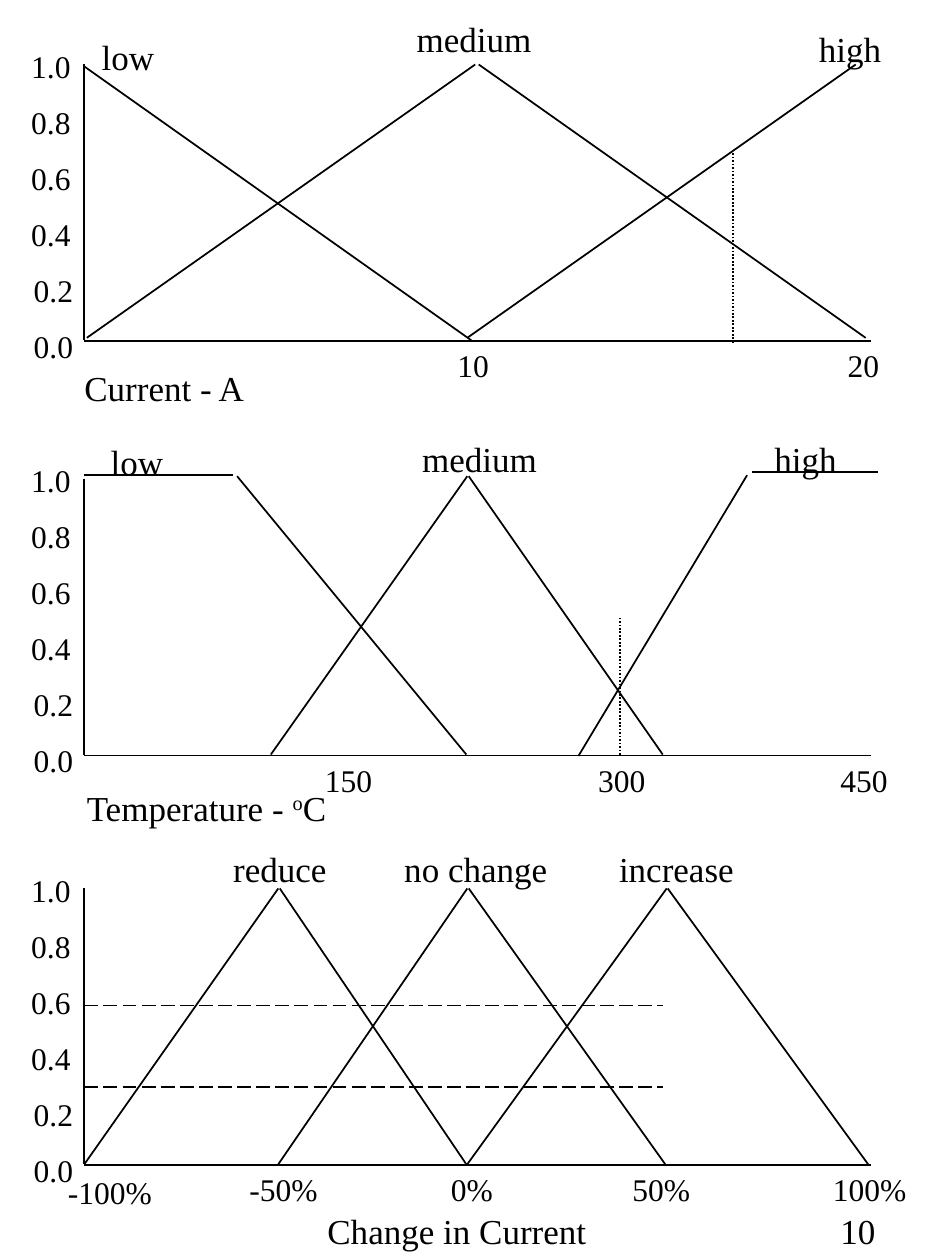
from dataclasses import dataclass

from lxml import etree
from pptx import Presentation
from pptx.dml.color import RGBColor
from pptx.enum.dml import MSO_LINE
from pptx.enum.shapes import MSO_CONNECTOR
from pptx.enum.text import MSO_AUTO_SIZE
from pptx.oxml.ns import qn
from pptx.slide import Slide
from pptx.util import Cm, Pt

STRAIGHT = MSO_CONNECTOR.STRAIGHT
FIT_SHAPE = MSO_AUTO_SIZE.SHAPE_TO_FIT_TEXT
DOTTED = MSO_LINE.ROUND_DOT  # written to the file as sysDot
DASHED = MSO_LINE.LONG_DASH


@dataclass(frozen=True)
class Theme:
    ink: RGBColor = RGBColor(0, 0, 0)
    font: str = "Times New Roman"
    label_size: int = 20
    tick_size: int = 18
    line_width: float = 1


THEME = Theme()

# All lengths are in centimetres; heights inside a panel count from its top.
AXIS_LEFT, AXIS_RIGHT = 1.70, 17.55
AXIS_HEIGHT, BASELINE = 5.56, 5.58
SCALE_TOP, SCALE_STEP = -0.48, 1.13
SCALE = ("1.0", "0.8", "0.6", "0.4", "0.2", "0.0")
WIDTH_SLACK = 0.06  # keeps each label on one line


@dataclass(frozen=True)
class Label:
    text: str
    x: float
    y: float
    width: float
    size: int = THEME.label_size
    superscript: str = ""
    tail: str = ""


@dataclass(frozen=True)
class Tick(Label):
    size: int = THEME.tick_size


@dataclass(frozen=True)
class Line:
    x1: float
    y1: float
    x2: float
    y2: float
    dash: MSO_LINE | None = None


@dataclass(frozen=True)
class Panel:
    top: float
    lines: tuple[Line, ...]
    labels: tuple[Label, ...]


CURRENT = Panel(
    1.30,
    (
        Line(1.70, 0.04, 9.50, 5.56),
        Line(17.25, 0, 9.42, 5.51),
        Line(9.65, 0, 17.45, 5.51),
        Line(9.58, 0, 1.75, 5.51),
        Line(14.77, 1.79, 14.77, 5.61, DOTTED),
    ),
    (
        Label("low", 1.80, -0.71, 1.57),
        Label("medium", 8.15, -1.07, 2.82),
        Label("high", 16.26, -0.87, 1.75),
        Tick("10", 8.97, 5.56, 1.14),
        Tick("20", 16.84, 5.56, 1.14),
        Label("Current - A", 1.45, 5.96, 3.76),
    ),
)

TEMPERATURE = Panel(
    9.65,
    (
        Line(1.70, -0.07, 4.70, -0.07),
        Line(4.78, -0.05, 9.40, 5.56),
        Line(9.42, -0.05, 5.46, 5.56),
        Line(9.45, -0.05, 13.36, 5.56),
        Line(11.66, 5.59, 15.06, -0.07),
        Line(15.16, -0.13, 17.70, -0.13),
        Line(12.50, 2.80, 12.50, 5.56, DOTTED),
    ),
    (
        Label("low", 1.98, -0.89, 1.57),
        Label("medium", 8.26, -0.96, 2.82),
        Label("high", 15.36, -0.96, 1.75),
        Tick("150", 6.30, 5.56, 1.45),
        Tick("300", 11.81, 5.56, 1.45),
        Tick("450", 16.69, 5.56, 1.45),
        Label("Temperature - ", 1.50, 6.08, 5.38, superscript="o", tail="C"),
    ),
)

CHANGE_SLOPES = (
    (5.61, 1.70), (5.64, 9.40), (13.44, 9.42),
    (13.46, 17.50), (9.42, 5.61), (9.45, 13.41),
)
CHANGE = Panel(
    17.91,
    tuple(Line(peak, 0, foot, AXIS_HEIGHT) for peak, foot in CHANGE_SLOPES)
    + tuple(Line(AXIS_LEFT, y, 13.36, y, DASHED) for y in (4.00, 2.36)),
    (
        Label("reduce", 4.45, -0.96, 2.39),
        Label("no change", 7.90, -0.96, 3.38),
        Label("increase", 12.23, -0.96, 2.82),
        Tick("-100%", 1.12, 5.61, 2.18),
        Tick("-50%", 4.78, 5.56, 1.88),
        Tick("0%", 8.84, 5.56, 1.35),
        Tick("50%", 12.50, 5.56, 1.68),
        Tick("100%", 16.54, 5.56, 1.98),
        Label("Change in Current", 6.35, 6.35, 5.72),
    ),
)

PAGE_NUMBER = Label("10", 16.69, 24.25, 3.45)


def draw_line(slide: Slide, line: Line, top: float) -> None:
    sp = slide.shapes.add_connector(
        STRAIGHT, Cm(line.x1), Cm(top + line.y1), Cm(line.x2), Cm(top + line.y2)
    )
    sp.line.color.rgb = THEME.ink
    sp.line.width = Pt(THEME.line_width)
    if line.dash is not None:
        sp.line.dash_style = line.dash
    etree.SubElement(sp._element.spPr, qn("a:effectLst"))


def draw_label(slide: Slide, label: Label, top: float = 0) -> None:
    height = 1.09 if label.size == THEME.label_size else 1.02
    sp = slide.shapes.add_textbox(
        Cm(label.x), Cm(top + label.y), Cm(label.width + WIDTH_SLACK), Cm(height)
    )
    tf = sp.text_frame
    tf.word_wrap = False
    tf.auto_size = FIT_SHAPE
    p = tf.paragraphs[0]
    for text in filter(None, (label.text, label.superscript, label.tail)):
        r = p.add_run()
        r.text = text
        r.font.name = THEME.font
        r.font.size = Pt(label.size)
        r.font.color.rgb = THEME.ink
        if text == label.superscript:
            r._r.get_or_add_rPr().set("baseline", "30000")


def draw_panel(slide: Slide, panel: Panel) -> None:
    axes = (
        Line(AXIS_LEFT, 0, AXIS_LEFT, AXIS_HEIGHT),
        Line(AXIS_LEFT, BASELINE, AXIS_RIGHT, BASELINE),
    )
    scale = tuple(
        Tick(text, 0.43 if text in ("0.2", "0.0") else 0.38,
             SCALE_TOP + i * SCALE_STEP, 1.30)
        for i, text in enumerate(SCALE)
    )
    for line in axes + panel.lines:
        draw_line(slide, line, panel.top)
    for label in scale + panel.labels:
        draw_label(slide, label, panel.top)


def main() -> None:
    prs = Presentation()
    prs.slide_width, prs.slide_height = Cm(19.05), Cm(25.4)
    slide = prs.slides.add_slide(prs.slide_layouts[6])
    for panel in (CURRENT, TEMPERATURE, CHANGE):
        draw_panel(slide, panel)
    draw_label(slide, PAGE_NUMBER)
    prs.save("out.pptx")


if __name__ == "__main__":
    main()
